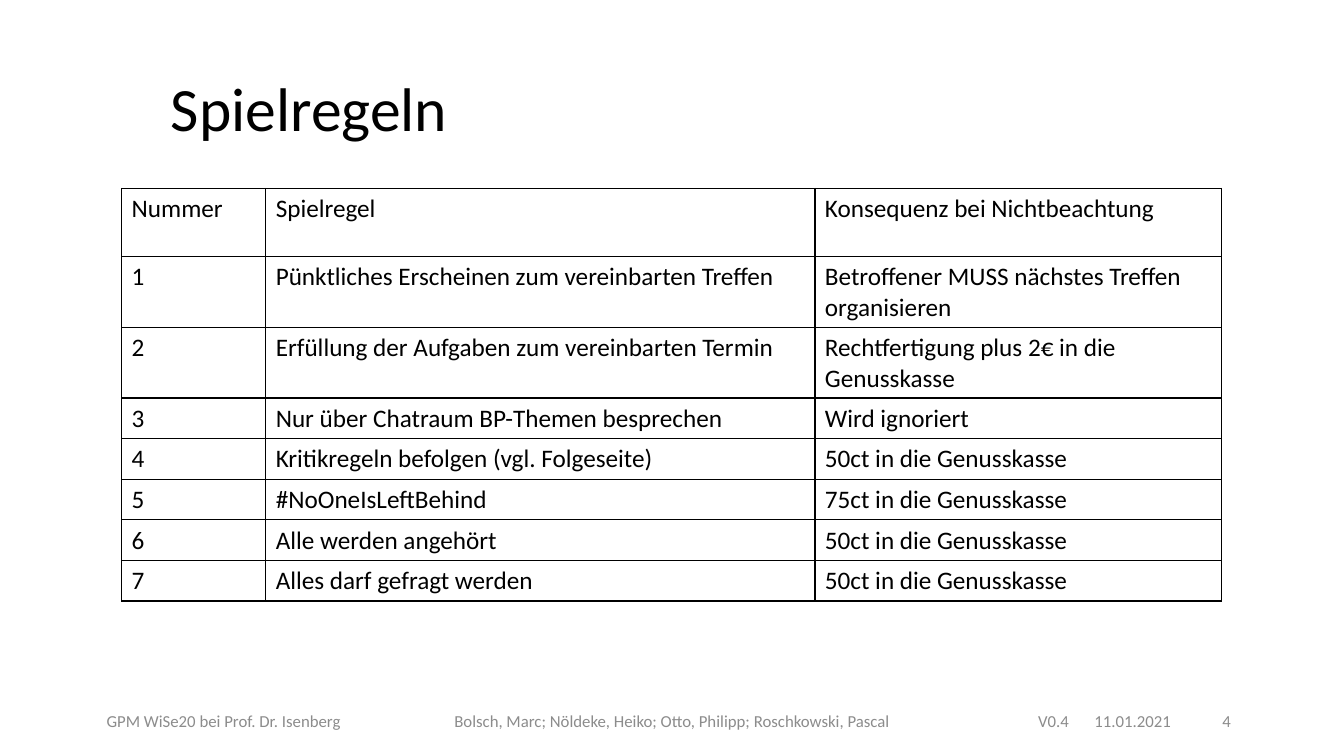
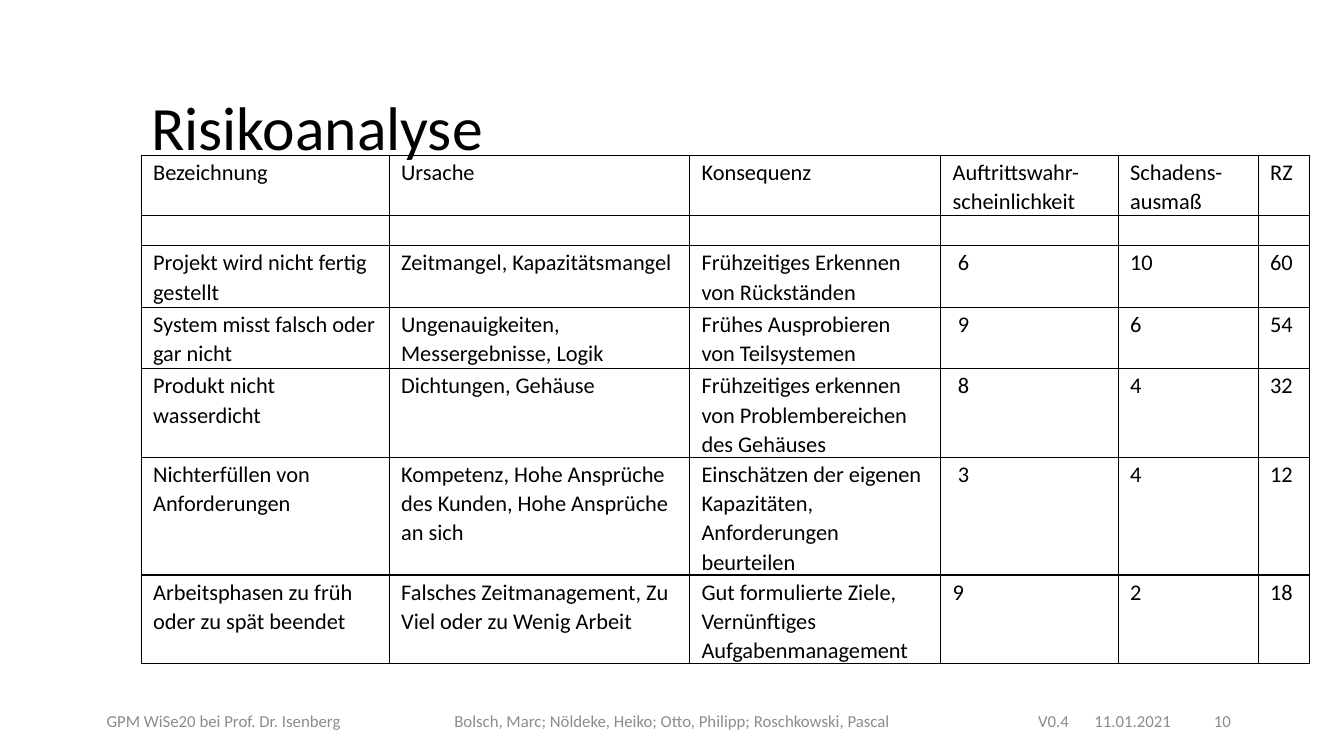
import pptx
import pptx.util
import pptx.dml.color
import pptx.enum.text
import pptx.oxml.ns
import lxml.etree

Cm = pptx.util.Cm
Pt = pptx.util.Pt
RGBColor = pptx.dml.color.RGBColor
ALIGN = pptx.enum.text.PP_ALIGN
ANCHOR = pptx.enum.text.MSO_ANCHOR
qn = pptx.oxml.ns.qn

BLACK = RGBColor(0, 0, 0)
GREY = RGBColor(0x8C, 0x8C, 0x8C)
FACE = "Calibri"

# Shared footer: left, width, alignment, text (None is the page number)
TOP, HIGH = 17.65, 1.02
FOOT = [
    (2.34, 6.6, ALIGN.CENTER, "GPM WiSe20 bei Prof. Dr. Isenberg"),
    (10.77, 12.34, ALIGN.CENTER,
     "Bolsch, Marc; Nöldeke, Heiko; Otto, Philipp; Roschkowski, Pascal"),
    (25.91, 1.5, ALIGN.LEFT, "V0.4"),
    (27.33, 5, ALIGN.LEFT, "11.01.2021"),
    (23.65, 7.62, ALIGN.RIGHT, None),
]

# Content of the two slides
RULES = [
    ("Nummer", "Spielregel", "Konsequenz bei Nichtbeachtung"),
    ("1", "Pünktliches Erscheinen zum vereinbarten Treffen",
     "Betroffener MUSS nächstes Treffen organisieren"),
    ("2", "Erfüllung der Aufgaben zum vereinbarten Termin",
     "Rechtfertigung plus 2€ in die Genusskasse"),
    ("3", "Nur über Chatraum BP-Themen besprechen", "Wird ignoriert"),
    ("4", "Kritikregeln befolgen (vgl. Folgeseite)", "50ct in die Genusskasse"),
    ("5", "#NoOneIsLeftBehind", "75ct in die Genusskasse"),
    ("6", "Alle werden angehört", "50ct in die Genusskasse"),
    ("7", "Alles darf gefragt werden", "50ct in die Genusskasse"),
]
RISKS = [
    ("Bezeichnung", "Ursache", "Konsequenz", "Auftrittswahr-scheinlichkeit",
     "Schadens-\nausmaß", "RZ"),
    ("",) * 6,
    ("Projekt wird nicht fertig gestellt", "Zeitmangel, Kapazitätsmangel",
     "Frühzeitiges Erkennen von Rückständen", " 6", "10", "60"),
    ("System misst falsch oder gar nicht",
     "Ungenauigkeiten, Messergebnisse, Logik",
     "Frühes Ausprobieren von Teilsystemen", " 9", "6", "54"),
    ("Produkt nicht wasserdicht", "Dichtungen, Gehäuse",
     "Frühzeitiges erkennen von Problembereichen des Gehäuses",
     " 8", "4", "32"),
    ("Nichterfüllen von Anforderungen",
     "Kompetenz, Hohe Ansprüche des Kunden, Hohe Ansprüche an sich",
     "Einschätzen der eigenen Kapazitäten, Anforderungen beurteilen",
     " 3", "4", "12"),
    ("Arbeitsphasen zu früh oder zu spät beendet",
     "Falsches Zeitmanagement, Zu Viel oder zu Wenig Arbeit",
     "Gut formulierte Ziele, Vernünftiges Aufgabenmanagement",
     "9", "2", "18"),
]
PAGES = [
    {"title": "Spielregeln", "spot": (4.06, 1.63), "page": "4",
     "data": RULES, "at": (3.07, 4.75), "size": 18, "lead": 1.0,
     "cols": [3.63, 13.84, 10.24],
     "rows": [1.71, 1.78, 1.78] + [1.02] * 5,
     "inset": {"margin_left": Cm(0.25), "margin_right": Cm(0.25),
               "margin_top": Cm(0.13), "margin_bottom": Cm(0.13)}},
    {"title": "Risikoanalyse", "spot": (3.56, 2.11), "page": "10",
     "data": RISKS, "at": (3.56, 3.91), "size": 16, "lead": 1.07,
     "cols": [6.25, 7.57, 6.33, 4.47, 3.53, 1.29],
     "rows": [1.52, 0.76, 1.55, 1.55, 2.23, 2.97, 2.23],
     "inset": {"margin_left": Cm(0.3), "margin_right": Cm(0.3),
               "margin_top": Cm(0.05), "margin_bottom": Cm(0)}},
]


def write(frame, words, size, tone, form):
    """Fill a text frame and format each paragraph from a dict."""
    frame.text = words
    frame.word_wrap = True
    for para in frame.paragraphs:
        for key, value in form.items():
            setattr(para, key, value)
        for run in para.runs:
            for key, value in {"name": FACE, "size": Pt(size)}.items():
                setattr(run.font, key, value)
            run.font.color.rgb = tone
        if not para.runs:
            # An empty line keeps the size of its row
            lxml.etree.SubElement(para._p, qn("a:endParaRPr"),
                                  sz=str(size * 100))


def frame_cell(cell):
    """Draw thin black borders around a cell that has no fill."""
    props = cell._tc.get_or_add_tcPr()
    for side in ("a:lnL", "a:lnR", "a:lnT", "a:lnB"):
        line = lxml.etree.SubElement(props, qn(side), w=str(Pt(1)))
        fill = lxml.etree.SubElement(line, qn("a:solidFill"))
        lxml.etree.SubElement(fill, qn("a:srgbClr"), val=str(BLACK))
    cell.fill.background()


deck = pptx.Presentation()
deck.slide_width = Cm(33.87)
deck.slide_height = Cm(19.05)

for page in PAGES:
    slide = deck.slides.add_slide(deck.slide_layouts[6])

    # Footer
    for left, wide, side, words in FOOT:
        box = slide.shapes.add_textbox(Cm(left), Cm(TOP), Cm(wide), Cm(HIGH))
        box.text_frame.vertical_anchor = ANCHOR.MIDDLE
        write(box.text_frame, words or page["page"], 12, GREY,
              {"alignment": side})

    # Title
    left, top = page["spot"]
    box = slide.shapes.add_textbox(Cm(left), Cm(top), Cm(12), Cm(2.13))
    write(box.text_frame, page["title"], 44, BLACK, {"alignment": ALIGN.LEFT})

    # Table
    left, top = page["at"]
    cols, rows = page["cols"], page["rows"]
    grid = slide.shapes.add_table(len(rows), len(cols), Cm(left), Cm(top),
                                  Cm(sum(cols)), Cm(sum(rows))).table
    for key in ("first_row", "horz_banding"):
        setattr(grid, key, False)
    for col, wide in zip(grid.columns, cols):
        col.width = Cm(wide)
    for row, high, line in zip(grid.rows, rows, page["data"]):
        row.height = Cm(high)
        for cell, words in zip(row.cells, line):
            for key, value in page["inset"].items():
                setattr(cell, key, value)
            write(cell.text_frame, words, page["size"], BLACK,
                  {"line_spacing": page["lead"]})
            frame_cell(cell)

deck.save("out.pptx")
